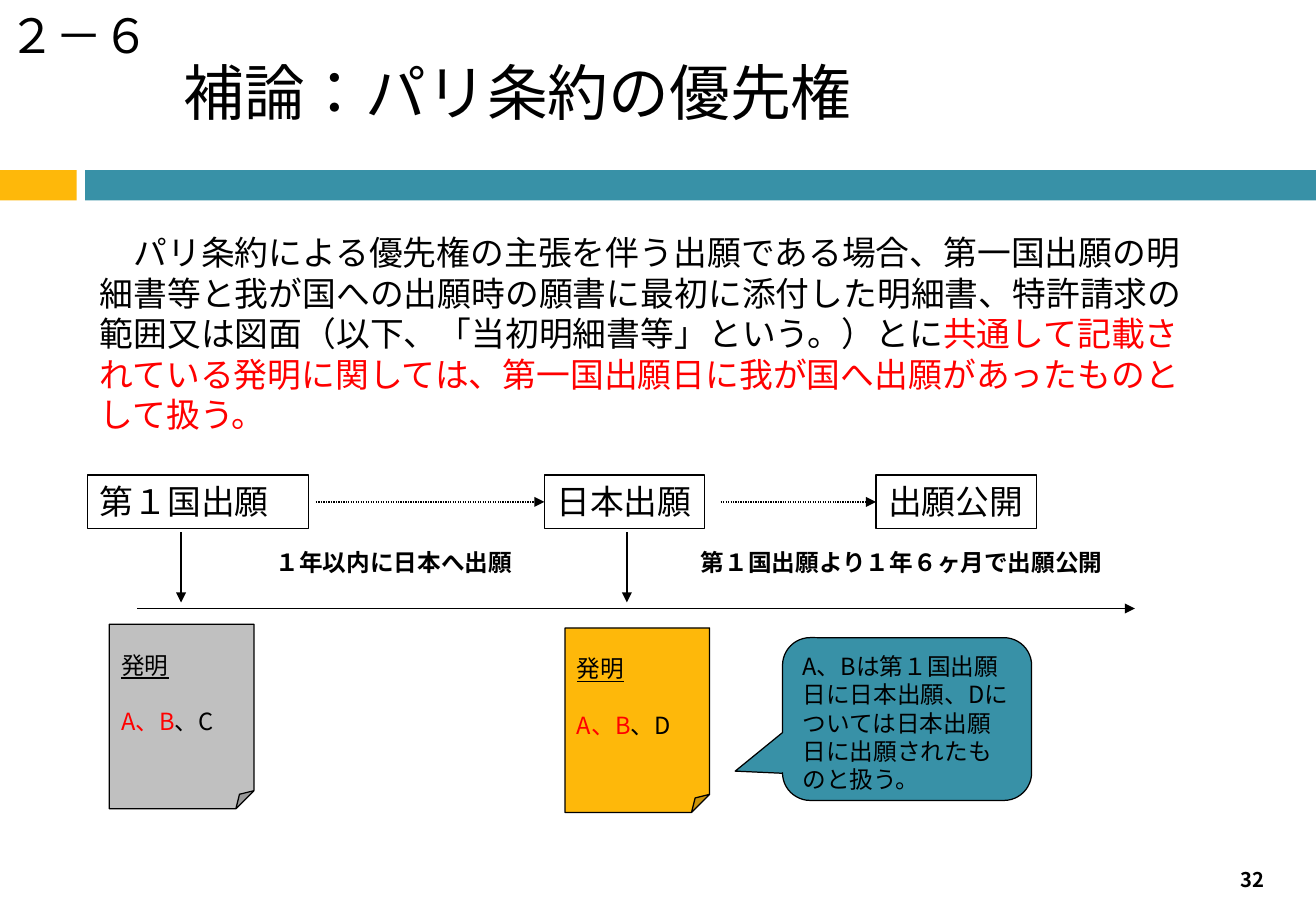
"""Build the slide on the Paris Convention priority right."""
import pptx
import pptx.dml.color
import pptx.enum.dml
import pptx.enum.lang
import pptx.enum.shapes
import pptx.enum.text
import pptx.oxml
import pptx.oxml.ns
import pptx.util

FONT = "Noto Sans CJK JP"
BLACK, RED, GOLD, TEAL, GREY = "000000", "FF0000", "FEB80A", "3891A7", "C0C0C0"
SHAPE = pptx.enum.shapes.MSO_SHAPE
ANCHOR = pptx.enum.text.MSO_ANCHOR
ALIGN = pptx.enum.text.PP_ALIGN
Pt = pptx.util.Pt

BANDS = [((0, 100.8, 45.4, 18), GOLD), ((50.4, 100.8, 729.4, 18), TEAL)]

LABELS = [
    ((52, 134, 663, 128), [
        ("　パリ条約による優先権の主張を伴う出願である場合、第一国出願の明細書等と"
         "我が国への出願時の願書に最初に添付した明細書、特許請求の範囲又は図面"
         "（以下、「当初明細書等」という。）とに", BLACK),
        ("共通して記載されている発明に関しては、第一国出願日に我が国へ出願があったものとして扱う。", RED),
    ], dict(size=20)),
    ((156.2, 321, 156.2, 24.5), [("１年以内に日本へ出願", BLACK)],
     dict(size=14, bold=True, wrap=False)),
    ((408.2, 321, 270.7, 24), [("第１国出願より１年６ヶ月で出願公開", BLACK)],
     dict(size=14, bold=True)),
    ((-2, 0, 145, 41), [("２－６", BLACK)], dict(size=28)),
    ((101.5, 15, 660, 78), [("補論：パリ条約の優先権", BLACK)],
     dict(size=36, anchor=ANCHOR.MIDDLE)),
    ((706, 502.6, 72, 37.4), [("32", BLACK)],
     dict(size=12, bold=True, anchor=ANCHOR.MIDDLE, align=ALIGN.CENTER)),
]

STEP_TOP, STEP_HEIGHT = 281.5, 32
STEPS = [("第１国出願", 52, 131), ("日本出願", 322.6, 95), ("出願公開", 519.1, 95)]
DOTTED_STARTS = [187.2, 427]
FILING_DATES = [107.3, 371.5]
TIMELINE = (81.4, 672.5, 360.7)
NOTES = [(64.8, 370, GREY, "、C"), (334.8, 372.2, GOLD, "、D")]
NOTE_SIZE = (85.7, 109.4)
CALLOUT = (463.7, 378, 147.6, 96.5)
CALLOUT_TEXT = "A、Bは第１国出願日に日本出願、Dについては日本出願日に出願されたものと扱う。"


def color(code):
    return pptx.dml.color.RGBColor.from_string(code)


def lengths(values):
    return [Pt(value) for value in values]


def add_line(page, start, end, dotted=False):
    line = page.shapes.add_connector(
        pptx.enum.shapes.MSO_CONNECTOR.STRAIGHT, *lengths(start + end))
    line.line.width = Pt(0.75)
    line.line.color.rgb = color(BLACK)
    if dotted:
        line.line.dash_style = pptx.enum.dml.MSO_LINE.ROUND_DOT
    tail = pptx.oxml.parse_xml(
        '<a:tailEnd %s type="triangle"/>' % pptx.oxml.ns.nsdecls("a"))
    line.line._get_or_add_ln().append(tail)
    line._element.spPr.append(
        pptx.oxml.parse_xml("<a:effectLst %s/>" % pptx.oxml.ns.nsdecls("a")))
    return line


def add_shape(page, kind, place, fill=None, outlined=True):
    shape = page.shapes.add_shape(kind, *lengths(place))
    shape.shadow.inherit = False
    if fill:
        shape.fill.solid()
        shape.fill.fore_color.rgb = color(fill)
    else:
        shape.fill.background()
    if outlined:
        shape.line.width = Pt(0.75)
        shape.line.color.rgb = color(BLACK)
    else:
        shape.line.fill.background()
    return shape


def write(shape, paras, size, bold=False, wrap=True, anchor=ANCHOR.TOP,
          align=ALIGN.LEFT, gap=0, top=3.6, underline_first=False):
    frame = shape.text_frame
    frame_format = dict(word_wrap=wrap, vertical_anchor=anchor, margin_top=Pt(top))
    for name, value in frame_format.items():
        setattr(frame, name, value)
    for index, spans in enumerate(paras):
        para = frame.add_paragraph() if index else frame.paragraphs[0]
        para.alignment = align
        if index:
            para.space_before = Pt(gap)
        for text, code in spans:
            span = para.add_run()
            span.text = text
            font_format = dict(
                name=FONT, size=Pt(size), bold=bold,
                underline=underline_first and index == 0,
                language_id=pptx.enum.lang.MSO_LANGUAGE_ID.JAPANESE)
            for name, value in font_format.items():
                setattr(span.font, name, value)
            span.font.color.rgb = color(code)
            east_asian = pptx.oxml.parse_xml(
                '<a:ea %s typeface="%s"/>' % (pptx.oxml.ns.nsdecls("a"), FONT))
            span.font._element.append(east_asian)


def main():
    deck = pptx.Presentation()
    deck.slide_width, deck.slide_height = Pt(779.8), Pt(540)
    page = deck.slides.add_slide(deck.slide_layouts[6])

    for place, fill in BANDS:
        add_shape(page, SHAPE.RECTANGLE, place, fill, outlined=False)
    for place, spans, style in LABELS:
        write(page.shapes.add_textbox(*lengths(place)), [spans], **style)

    boxes = []
    for text, left, width in STEPS:
        box = add_shape(page, SHAPE.RECTANGLE, (left, STEP_TOP, width, STEP_HEIGHT))
        write(box, [[(text, BLACK)]], size=20, wrap=False)
        boxes.append(box)
    middle = STEP_TOP + STEP_HEIGHT / 2
    for start, box, step in zip(DOTTED_STARTS, boxes[1:], STEPS[1:]):
        arrow = add_line(page, (start, middle), (step[1], middle), dotted=True)
        arrow.end_connect(box, 1)

    for date in FILING_DATES:
        add_line(page, (date, 315.4), (date, 357.1))
    left, right, height = TIMELINE
    add_line(page, (left, height), (right, height))

    for left, top, fill, last in NOTES:
        note = add_shape(page, SHAPE.FOLDED_CORNER, (left, top) + NOTE_SIZE, fill)
        note._element.spPr.prstGeom.rewrite_guides([("adj", 12500)])
        write(note, [[("発明", BLACK)], [("A、B", RED), (last, BLACK)]],
              size=14, wrap=False, gap=16.8, top=15.6, underline_first=True)

    callout = add_shape(page, SHAPE.ROUNDED_RECTANGULAR_CALLOUT, CALLOUT, TEAL)
    for index, value in enumerate((-0.69, 0.32, 0.17)):
        callout.adjustments[index] = value
    write(callout, [[(CALLOUT_TEXT, BLACK)]], size=14)

    deck.save("out.pptx")


if __name__ == "__main__":
    main()
